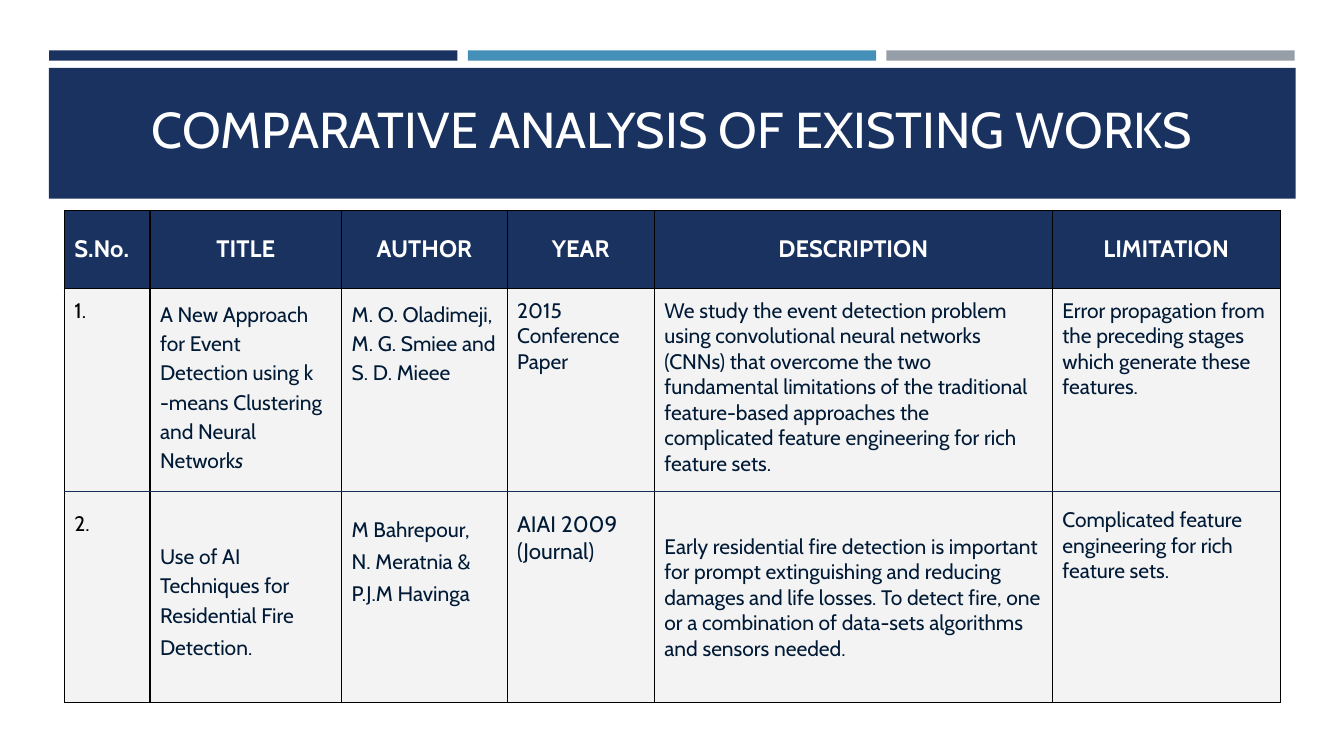
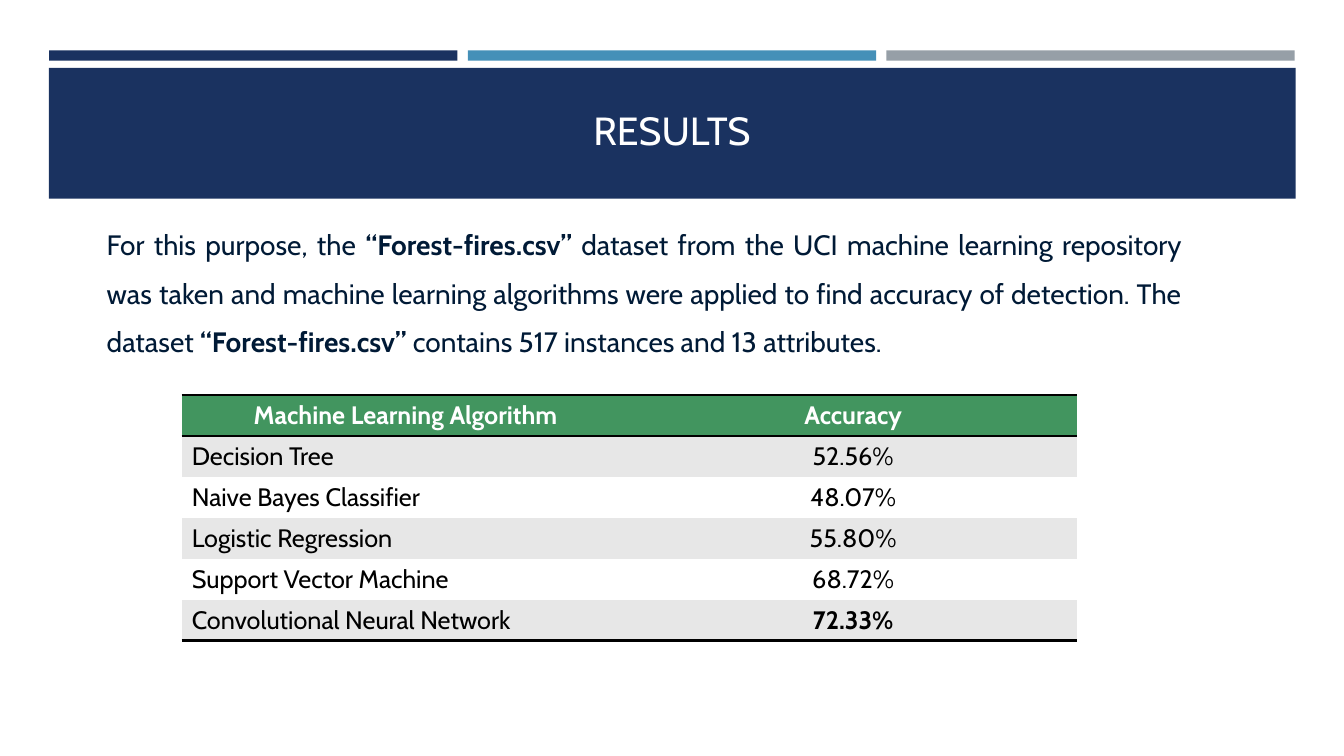
"""Build two slides on fire detection: related works and results."""
from dataclasses import dataclass

from lxml import etree
from pptx import Presentation
from pptx import util as u
from pptx.dml.color import RGBColor
from pptx.enum import shapes, text
from pptx.oxml.ns import qn

ALIGN = text.PP_ALIGN
ANCHOR = text.MSO_ANCHOR


@dataclass(frozen=True)
class Theme:
    """Colours, font and type sizes shared by the slides."""
    font: str = "Cabin"
    navy: str = "1A3260"
    rule: str = "172D56"
    blue: str = "4590B8"
    grey: str = "969FA7"
    green: str = "42955F"
    ink: str = "001A36"
    black: str = "000000"
    white: str = "FFFFFF"
    pale: str = "F3F3F3"
    stripe: str = "E7E7E7"
    title: int = 36
    short_title: int = 28
    body: int = 20
    result: int = 18
    header: int = 17
    venue: int = 16
    cell: int = 15


T = Theme()

WORK_COLUMNS = [("S.No.", 2.16), ("TITLE", 4.83), ("AUTHOR", 4.17),
                ("YEAR", 3.71), ("DESCRIPTION", 10.03), ("LIMITATION", 5.74)]
FIRST_WORK = [
    "1.",
    "A New Approach for Event Detection using k -means Clustering and Neural Network",
    "M. O. Oladimeji, M. G. Smiee and S. D. Mieee",
    "2015 Conference Paper",
    "We study the event detection problem using convolutional neural networks "
    "(CNNs) that overcome the two fundamental limitations of the traditional "
    "feature-based approaches the complicated feature engineering for rich "
    "feature sets.",
    "Error propagation from the preceding stages which generate these features."]
SECOND_WORK = [
    ["2."],
    ["Use of AI Techniques for Residential Fire", "Detection."],
    ["M Bahrepour,", "N. Meratnia &", "P.J.M Havinga"],
    ["AIAI 2009", "(Journal)"],
    ["Early residential fire detection is important",
     "for prompt extinguishing and reducing damages and life losses. To detect "
     "fire, one or a combination of data-sets algorithms and sensors needed."],
    ["Complicated feature engineering for rich feature sets."]]
SECOND_WORK_GAPS = [134, 47.5, 91, 97.5, 41, 76.5]
RESULTS = [("Machine Learning Algorithm", "Accuracy"),
           ("Decision Tree", "52.56%"),
           ("Naive Bayes Classifier", "48.07%"),
           ("Logistic Regression", "55.80%"),
           ("Support Vector Machine", "68.72%"),
           ("Convolutional Neural Network", "72.33%")]


def place(sp, left, top, width, height):
    """Set the frame of a shape in centimetres."""
    sp.left, sp.top = u.Cm(left), u.Cm(top)
    sp.width, sp.height = u.Cm(width), u.Cm(height)


def add_run(p, words, size, color, bold=False, italic=False):
    """Append one formatted run to a paragraph."""
    r = p.add_run()
    r.text = words
    r.font.name, r.font.size = T.font, u.Pt(size)
    r.font.bold, r.font.italic = bold, italic
    r.font.color.rgb = RGBColor.from_string(color)


def add_master_band(prs, s, index, color, left, top, width, height):
    """Draw a plain band and move it behind the master's placeholders."""
    sp = s.shapes.add_shape(shapes.MSO_SHAPE.RECTANGLE, u.Cm(left), u.Cm(top),
                            u.Cm(width), u.Cm(height))
    sp.shadow.inherit = False
    sp.fill.solid()
    sp.fill.fore_color.rgb = RGBColor.from_string(color)
    sp.line.fill.background()
    sp.element.nvSpPr.cNvPr.set("id", str(20 + index))
    prs.slide_master.shapes.element.insert(2 + index, sp.element)


def style_master(prs, s):
    """Give the master its bands and title frame."""
    for i, color in enumerate((T.navy, T.blue, T.grey)):
        add_master_band(prs, s, i, color, 1.24 + 10.55 * i, 1.27, 10.29, 0.26)
    add_master_band(prs, s, 3, T.navy, 1.23, 1.71, 31.42, 3.3)
    place(prs.slide_master.placeholders[0], 1.62, 1.95, 30.63, 2.82)


def set_title(s, words, size):
    """Fill the title placeholder."""
    tf = s.shapes.title.text_frame
    tf.vertical_anchor = ANCHOR.MIDDLE
    tf.auto_size = text.MSO_AUTO_SIZE.NONE
    p = tf.paragraphs[0]
    p.alignment, p.line_spacing = ALIGN.CENTER, 0.85
    add_run(p, words, size, T.white)


def set_body(s, runs):
    """Fill the body placeholder with one justified paragraph."""
    sp = s.placeholders[1]
    place(sp, 1.17, 5.22, 30.63, 12.37)
    tf = sp.text_frame
    tf.auto_size = text.MSO_AUTO_SIZE.NONE
    tf.margin_left, tf.margin_right = u.Cm(1.52), u.Cm(2.01)
    p = tf.paragraphs[0]
    p.alignment, p.line_spacing, p.space_before = ALIGN.JUSTIFY, 1.45, u.Pt(0)
    pPr = p._p.get_or_add_pPr()
    pPr.set("marL", "0")
    pPr.set("indent", "0")
    etree.SubElement(pPr, qn("a:buNone"))
    for words, bold in runs:
        add_run(p, words, T.body, T.ink, bold)


def add_table(s, left, top, widths, heights):
    """Add an unbanded table with the given column and row sizes."""
    frame = s.shapes.add_table(len(heights), len(widths), u.Cm(left), u.Cm(top),
                               u.Cm(sum(widths)), u.Cm(sum(heights)))
    table = frame.table
    table.first_row = table.horz_banding = False
    for column, width in zip(table.columns, widths):
        column.width = u.Cm(width)
    for row, height in zip(table.rows, heights):
        row.height = u.Cm(height)
    return table


def add_rule(s, left, right, y):
    """Add a thin horizontal line."""
    ln = s.shapes.add_connector(shapes.MSO_CONNECTOR.STRAIGHT, u.Cm(right),
                                u.Cm(y), u.Cm(left), u.Cm(y))
    ln.line.color.rgb = RGBColor.from_string(T.rule)
    ln.line.width = u.Pt(1)
    etree.SubElement(ln.element.spPr, qn("a:effectLst"))


def style_cell(cell, fill, edges, weight):
    """Rule the named edges of a cell in black, clear the rest and fill it."""
    tcPr = cell._tc.get_or_add_tcPr()
    for edge in "LRTB":
        ln = etree.SubElement(tcPr, qn(f"a:ln{edge}"))
        if edge in edges:
            ln.set("w", str(u.Pt(weight)))
            solid = etree.SubElement(ln, qn("a:solidFill"))
            etree.SubElement(solid, qn("a:srgbClr")).set("val", T.black)
        else:
            ln.set("w", "0")
            etree.SubElement(ln, qn("a:noFill"))
    cell.fill.solid()
    cell.fill.fore_color.rgb = RGBColor.from_string(fill)


def write_line(p, words, size, color, bold=False, align=ALIGN.LEFT,
               spacing=1.0, gap=0):
    """Write one formatted line in a paragraph."""
    p.alignment, p.line_spacing, p.space_before = align, spacing, u.Pt(gap)
    add_run(p, words, size, color, bold)


def add_works_table(s):
    """Add the ruled comparison of existing works."""
    table = add_table(s, 1.62, 5.3, [width for _, width in WORK_COLUMNS],
                      [1.96, 10.44])
    for c, (name, _) in enumerate(WORK_COLUMNS):
        cell = table.cell(0, c)
        style_cell(cell, T.navy, "LRTB", 1)
        cell.vertical_anchor = ANCHOR.MIDDLE
        write_line(cell.text_frame.paragraphs[0], name, T.header, T.white, True,
                   ALIGN.CENTER if c else ALIGN.LEFT)
    for c, (first, second) in enumerate(zip(FIRST_WORK, SECOND_WORK)):
        cell = table.cell(1, c)
        style_cell(cell, T.pale, "LRTB", 1)
        cell.margin_top = cell.margin_bottom = u.Cm(0.25)
        tf = cell.text_frame
        color = T.ink if c else T.black
        spacing, gap = (1.15, 2) if c in (1, 2) else (1.0, 0)
        write_line(tf.paragraphs[0], first, T.cell, color, spacing=spacing)
        for i, words in enumerate(second):
            write_line(tf.add_paragraph(), words, T.venue if c == 3 else T.cell,
                       color, spacing=spacing,
                       gap=gap if i else SECOND_WORK_GAPS[c])
    add_run(table.cell(1, 1).text_frame.paragraphs[0], "s", T.cell, T.ink,
            italic=True)
    add_rule(s, 1.62, 32.26, 12.39)


def add_results_table(s):
    """Add the striped table of accuracies."""
    table = add_table(s, 4.58, 9.96, [11.28] * 2, [1.03] * len(RESULTS))
    last = len(RESULTS) - 1
    for r, row in enumerate(RESULTS):
        head = r == 0
        fill = T.green if head else T.stripe if r % 2 else T.white
        edges = {0: "TB", 1: "T", last: "B"}.get(r, "")
        for c, words in enumerate(row):
            cell = table.cell(r, c)
            style_cell(cell, fill, edges, 2)
            write_line(cell.text_frame.paragraphs[0], words, T.result,
                       T.white if head else T.black,
                       head or (r == last and c == 1),
                       ALIGN.CENTER if head or c else ALIGN.LEFT)


def main():
    """Build and save the presentation."""
    prs = Presentation()
    prs.slide_width, prs.slide_height = u.Cm(33.87), u.Cm(19.05)

    s = prs.slides.add_slide(prs.slide_layouts.get_by_name("Title Only"))
    style_master(prs, s)
    set_title(s, "COMPARATIVE ANALYSIS OF EXISTING WORKS", T.title)
    add_works_table(s)

    s = prs.slides.add_slide(prs.slide_layouts.get_by_name("Title and Content"))
    set_title(s, "RESULTS", T.short_title)
    set_body(s, [
        ("For this purpose, the ", False),
        ("“Forest-fires.csv”", True),
        (" dataset from the UCI machine learning repository was taken and machine "
         "learning algorithms were applied to find accuracy of detection. The "
         "dataset ", False),
        ("“Forest-fires.csv”", True),
        (" contains 517 instances and 13 attributes.", False)])
    add_results_table(s)
    prs.save("out.pptx")


if __name__ == "__main__":
    main()
